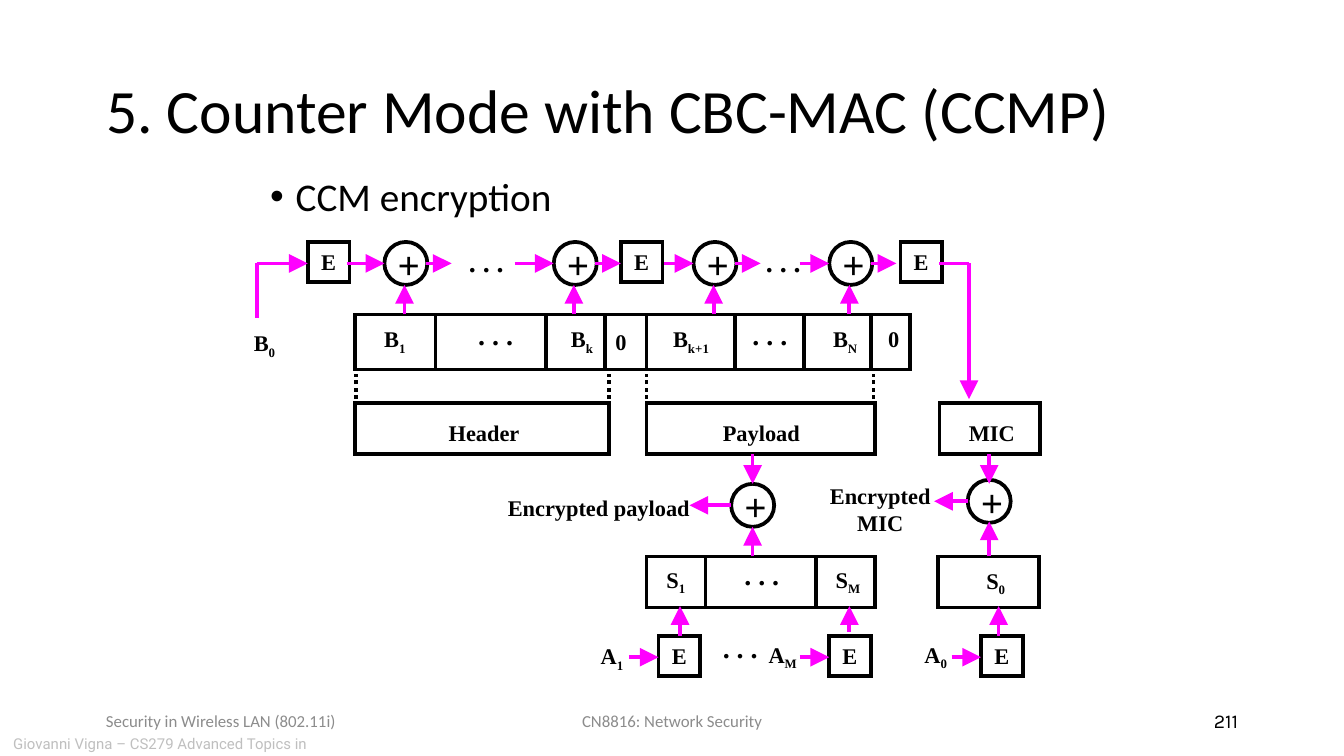
from dataclasses import dataclass
from typing import NamedTuple

from lxml import etree
from pptx import Presentation
from pptx import util as u
from pptx.dml.color import RGBColor
from pptx.enum import dml, shapes, text
from pptx.oxml.ns import qn


@dataclass(frozen=True)
class Theme:
    ink: str = "000000"
    flow: str = "FF00FF"
    grey: str = "8C8C8C"
    pale: str = "BFBFBF"
    sans: str = "Calibri"
    serif: str = "Times New Roman"
    title: float = 33
    body: float = 21
    dots: float = 15
    label: float = 12
    number: float = 10.5
    footer: float = 9
    note: float = 8
    line: float = 2


class Box(NamedTuple):
    x: float
    y: float
    w: float
    h: float


class Label(NamedTuple):
    box: Box
    text: str
    sub: str = ""


class Line(NamedTuple):
    x1: float
    y1: float
    x2: float
    y2: float


T = Theme()
LEFT, CENTER, RIGHT = text.PP_ALIGN.LEFT, text.PP_ALIGN.CENTER, text.PP_ALIGN.RIGHT
TOP, MIDDLE = text.MSO_ANCHOR.TOP, text.MSO_ANCHOR.MIDDLE


def cm(inches: float) -> u.Length:
    return u.Cm(inches * 2.54)


def write(tf, content: str, *, sub="", size=T.label, font=T.serif, color=T.ink,
          bold=True, align=LEFT, anchor=TOP, wrap=False) -> None:
    """Fill a text frame, one paragraph a line; sub is a trailing subscript."""
    tf.word_wrap, tf.vertical_anchor = wrap, anchor
    tf.auto_size = text.MSO_AUTO_SIZE.NONE if wrap else text.MSO_AUTO_SIZE.SHAPE_TO_FIT_TEXT
    for i, line in enumerate(content.split("\n")):
        p = tf.paragraphs[0] if i == 0 else tf.add_paragraph()
        p.alignment = align
        for part in filter(None, (line, sub)):
            r = p.add_run()
            r.text = part
            r.font.name, r.font.size, r.font.bold = font, u.Pt(size), bold
            r.font.color.rgb = RGBColor.from_string(color)
        if sub:
            r._r.get_or_add_rPr().set("baseline", "-25000")


def label(s, box: Box, content: str, **fmt) -> None:
    write(s.shapes.add_textbox(*map(cm, box)).text_frame, content, **fmt)


def outline(s, box: Box, kind=shapes.MSO_SHAPE.RECTANGLE):
    sp = s.shapes.add_shape(kind, *map(cm, box))
    sp.shadow.inherit = False
    sp.fill.background()
    sp.line.color.rgb = RGBColor.from_string(T.ink)
    sp.line.width = u.Pt(T.line)
    etree.SubElement(sp.line._get_or_add_ln(), qn("a:miter"), lim="800000")
    return sp


def cipher(s, x: float, y: float) -> None:
    write(outline(s, Box(x, y, 0.31, 0.3)).text_frame, "E")


def xor(s, x: float, y: float) -> None:
    outline(s, Box(x, y, 0.32, 0.32), shapes.MSO_SHAPE.OVAL)
    label(s, Box(x, y - 0.06, 0.37, 0.45), "+", size=T.body)


def connect(s, ends: Line, *, color=T.flow, head=True, dotted=False) -> None:
    c = s.shapes.add_connector(shapes.MSO_CONNECTOR.STRAIGHT, *map(cm, ends))
    c.line.color.rgb = RGBColor.from_string(color)
    c.line.width = u.Pt(T.line)
    if dotted:
        c.line.dash_style = dml.MSO_LINE.ROUND_DOT
    if head:
        etree.SubElement(c.line._get_or_add_ln(), qn("a:tailEnd"),
                         type="triangle", w="lg", len="lg")
    etree.SubElement(c._element.spPr, qn("a:effectLst"))


def place(sp, box: Box):
    sp.left, sp.top, sp.width, sp.height = map(cm, box)
    return sp.text_frame


# Row heights of the diagram
CHAIN, FLOW, BLOCKS, PARTS, STREAM, KEYS = 1.8, 1.96, 2.34, 3.0, 4.14, 4.73
BLOCK_H, PART_H = 0.41, 0.38
CHAIN_XORS = (2.86, 4.12, 5.16, 6.17)

CIPHERS = [(x, CHAIN) for x in (2.29, 4.62, 6.7)] + [(x, KEYS) for x in (4.9, 6.17, 7.3)]
XORS = [(x, CHAIN) for x in CHAIN_XORS] + [(5.44, 3.6), (7.2, 3.57)]
FRAMES = [Box(2.64, BLOCKS, 4.13, BLOCK_H)] + [
    Box(x, y, w, PART_H)
    for x, y, w in ((2.64, PARTS, 1.89), (4.81, PARTS, 1.7), (6.99, PARTS, 0.75),
                    (4.81, STREAM, 1.7), (6.98, STREAM, 0.75))]
DIVIDERS = [Line(x, BLOCKS, x, BLOCKS + BLOCK_H)
            for x in (3.24, 4.06, 4.5, 4.81, 5.47, 5.98, 6.48)]
DIVIDERS += [Line(x, STREAM, x, STREAM + PART_H) for x in (5.25, 6.07)]
DOTTED = [Line(x, 2.97, x, 2.78) for x in (2.65, 4.53, 4.81, 6.5)]

# Arrows: along the chain, into and out of the XORs, and into the key stream
ARROWS = [Line(a, FLOW, b, FLOW)
          for a, b in ((1.91, 2.29), (2.58, 2.86), (3.83, 4.12), (4.94, 5.16), (5.95, 6.17))]
ARROWS += [Line(x + 0.31, FLOW, x + 0.5, FLOW) for x in CHAIN_XORS]
ARROWS += [Line(x + 0.15, BLOCKS, x + 0.15, 2.12) for x in CHAIN_XORS]
ARROWS += [Line(x, PARTS + PART_H, x, 3.6) for x in (5.6, 7.36)]
ARROWS += [Line(x, STREAM, x, y) for x, y in ((5.6, 3.92), (7.36, 3.88))]
ARROWS += [Line(x, y, x, 4.51) for x, y in ((5.06, KEYS), (6.32, 4.7), (7.43, KEYS))]
ARROWS += [Line(x - 0.22, 4.89, x, 4.89) for x in (4.9, 6.17, 7.3)]
ARROWS += [Line(7.21, FLOW, 7.21, 2.97), Line(5.44, 3.76, 5.13, 3.76),
           Line(7.2, 3.73, 6.95, 3.73)]
PLAIN = [Line(6.99, FLOW, 7.21, FLOW), Line(1.91, FLOW, 1.91, 2.37)]

DOTS = [(3.46, 2.31), (5.5, 2.31), (3.39, 1.77), (5.6, 1.77), (5.44, 4.1), (5.28, 4.64)]
LABELS = [
    Label(Box(1.79, 2.4, 0.37, 0.3), "B", "0"),
    Label(Box(2.76, 2.37, 0.37, 0.3), "B", "1"),
    Label(Box(4.15, 2.37, 0.38, 0.3), "B", "k"),
    Label(Box(4.48, 2.39, 0.29, 0.3), "0"),
    Label(Box(4.91, 2.37, 0.5, 0.3), "B", "k+1"),
    Label(Box(6.1, 2.37, 0.39, 0.3), "B", "N"),
    Label(Box(6.51, 2.37, 0.29, 0.3), "0"),
    Label(Box(3.24, 3.07, 0.74, 0.3), "Header"),
    Label(Box(5.28, 3.07, 0.78, 0.3), "Payload"),
    Label(Box(7.11, 3.07, 0.55, 0.3), "MIC"),
    Label(Box(3.68, 3.63, 1.57, 0.3), "Encrypted payload"),
    Label(Box(4.86, 4.16, 0.35, 0.3), "S", "1"),
    Label(Box(6.12, 4.16, 0.4, 0.3), "S", "M"),
    Label(Box(7.24, 4.17, 0.35, 0.3), "S", "0"),
    Label(Box(4.37, 4.73, 0.38, 0.3), "A", "1"),
    Label(Box(5.62, 4.72, 0.43, 0.3), "A", "M"),
    Label(Box(6.78, 4.72, 0.38, 0.3), "A", "0"),
]


def main() -> None:
    prs = Presentation()
    prs.slide_width = u.Cm(25.4)
    prs.slide_height = prs.slide_width * 9 // 16
    s = prs.slides.add_slide(prs.slide_layouts[1])

    # Title and bullet
    plain = dict(font=T.sans, bold=False, wrap=True)
    tf = place(s.shapes.title, Box(0.69, 0.3, 8.62, 1.09))
    write(tf, "5. Counter Mode with CBC-MAC (CCMP)", size=T.title, anchor=MIDDLE, **plain)
    tf.paragraphs[0].line_spacing = 0.9
    tf = place(s.placeholders[1], Box(1.91, 1.27, 6.49, 3.87))
    p = tf.paragraphs[0]
    pPr = p._p.get_or_add_pPr()
    pPr.set("marL", str(cm(0.19)))
    pPr.set("indent", str(-cm(0.19)))
    etree.SubElement(pPr, qn("a:buFont"), typeface="Arial")
    etree.SubElement(pPr, qn("a:buChar"), char="•")
    write(tf, "CCM encryption", size=T.body, **plain)
    p.line_spacing, p.space_before = 0.9, u.Pt(0)

    # Footer
    foot = dict(plain, size=T.footer, color=T.grey, anchor=MIDDLE)
    label(s, Box(0, 5.42, 2.8, 0.24), "Giovanni Vigna – CS279 Advanced Topics in",
          size=T.note, font="Roboto", color=T.pale, bold=False)
    label(s, Box(0.69, 5.21, 2.25, 0.3), "Security in Wireless LAN (802.11i)", **foot)
    label(s, Box(3.31, 5.21, 3.38, 0.3), "CN8816: Network Security", align=CENTER, **foot)
    label(s, Box(7.06, 5.21, 2.25, 0.3), "211", size=T.number, font="Karla",
          bold=False, align=RIGHT, anchor=MIDDLE, wrap=True)

    # Diagram
    for box in FRAMES:
        outline(s, box)
    for ends in DIVIDERS:
        connect(s, ends, color=T.ink, head=False)
    for ends in DOTTED:
        connect(s, ends, color=T.ink, head=False, dotted=True)
    for at in CIPHERS:
        cipher(s, *at)
    for at in XORS:
        xor(s, *at)
    for ends in ARROWS:
        connect(s, ends)
    for ends in PLAIN:
        connect(s, ends, head=False)
    for x, y in DOTS:
        label(s, Box(x, y, 0.46, 0.35), ". . .", size=T.dots)
    for item in LABELS:
        label(s, item.box, item.text, sub=item.sub)
    label(s, Box(6.07, 3.54, 0.96, 0.5), "Encrypted\nMIC", align=CENTER)

    prs.save("out.pptx")


if __name__ == "__main__":
    main()
